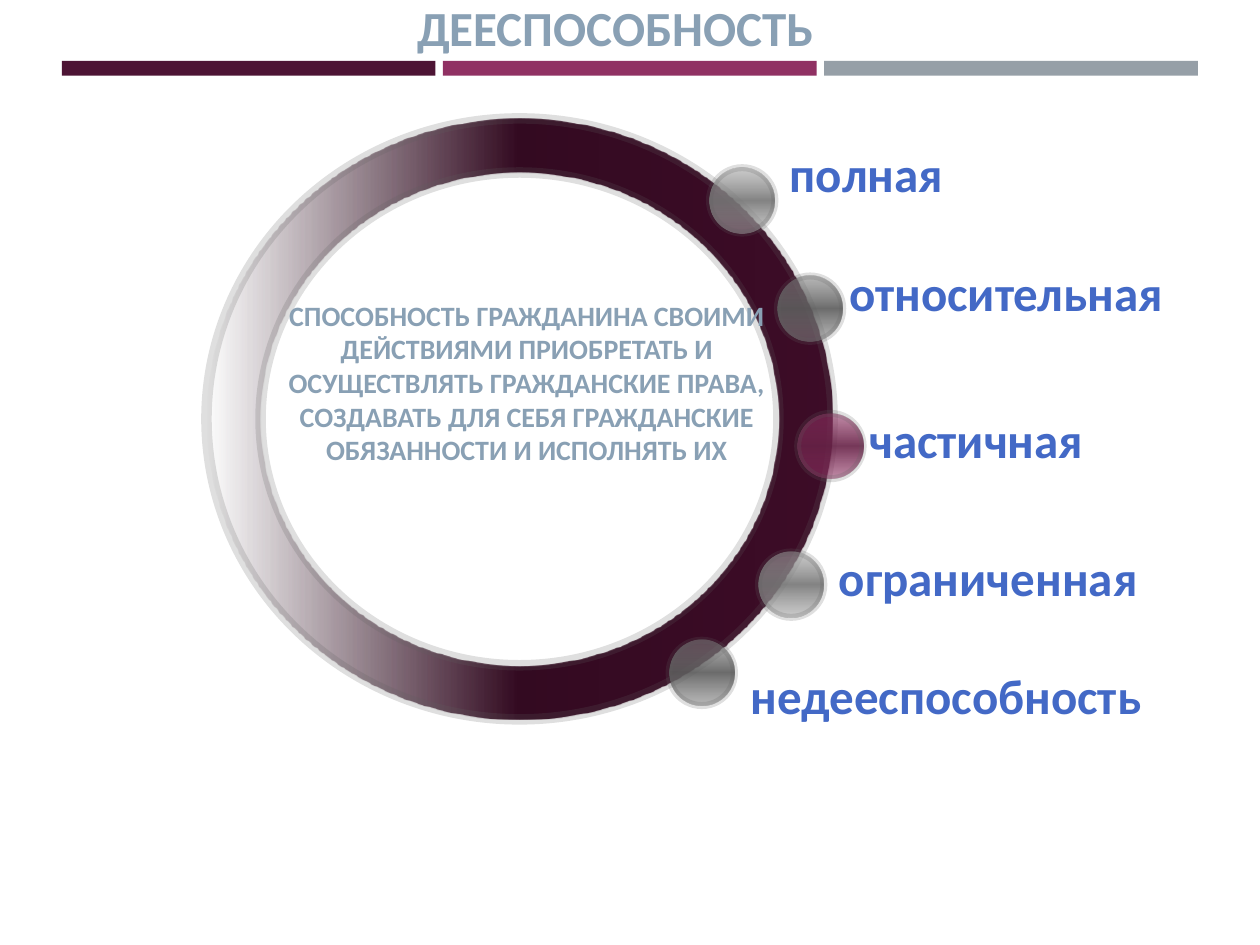
from lxml import etree
from pptx import Presentation
from pptx.dml.color import RGBColor
from pptx.enum.shapes import MSO_SHAPE as Shape
from pptx.enum.text import MSO_ANCHOR as Anchor, MSO_AUTO_SIZE as AutoSize, PP_ALIGN as Align
from pptx.oxml.ns import qn
from pptx.util import Pt

FONT = "Calibri"
PLUM = RGBColor(0x4D, 0x14, 0x34)
MAGENTA = RGBColor(0x90, 0x31, 0x63)
DARK_MAGENTA = RGBColor(0x67, 0x23, 0x47)
STEEL = RGBColor(0x96, 0x9F, 0xA7)
HEADING = RGBColor(0x89, 0xA0, 0xB4)
BLUE = RGBColor(0x43, 0x69, 0xC6)
OUTLINE = RGBColor(0x5F, 0x5F, 0x5F)
LIGHT_GRAY = RGBColor(0xA5, 0xA5, 0xA5)
MID_GRAY = RGBColor(0x76, 0x76, 0x76)
GRAY = RGBColor(0x82, 0x82, 0x82)
DARK_GRAY = RGBColor(0x5D, 0x5D, 0x5D)
RING_START = RGBColor(0x24, 0x07, 0x17)
RING_MIDDLE = RGBColor(0x33, 0x0A, 0x21)
RING_END = RGBColor(0x3D, 0x0C, 0x27)

PALE = (LIGHT_GRAY, MID_GRAY)
DEEP = (GRAY, DARK_GRAY)
ACCENT = (MAGENTA, DARK_MAGENTA)
DOT_SIZE = 37.4

# label, dot left and top, label left and top, dot colours
KINDS = [
    ("полная", (405.4, 95.8), (444.2, 78.5), PALE),
    ("относительная", (444.2, 157.7), (478.1, 146.2), DEEP),
    ("частичная", (455.8, 236.2), (489.6, 230.4), ACCENT),
    ("ограниченная", (433.4, 315.4), (472.3, 309.6), PALE),
    ("недееспособность", (382.3, 365.8), (421.9, 376.6), DEEP),
]
DEFINITION = (
    "СПОСОБНОСТЬ ГРАЖДАНИНА СВОИМИ ДЕЙСТВИЯМИ ПРИОБРЕТАТЬ И "
    "ОСУЩЕСТВЛЯТЬ ГРАЖДАНСКИЕ ПРАВА, СОЗДАВАТЬ ДЛЯ СЕБЯ ГРАЖДАНСКИЕ "
    "ОБЯЗАННОСТИ И ИСПОЛНЯТЬ ИХ"
)


def set_alpha(color_element, percent):
    etree.SubElement(color_element, qn("a:alpha"), val=str(percent * 1000))


def set_gradient(shape, stops, angle):
    """Fill with stops of (position %, colour, opacity %), angle clockwise."""
    shape.fill.gradient()
    gradient = shape.fill._xPr.find(qn("a:gradFill"))
    stop_list = gradient.find(qn("a:gsLst"))
    for stop in list(stop_list):
        stop_list.remove(stop)
    for position, color, opacity in stops:
        stop = etree.SubElement(stop_list, qn("a:gs"), pos=str(position * 1000))
        set_alpha(etree.SubElement(stop, qn("a:srgbClr"), val=str(color)), opacity)
    gradient.find(qn("a:lin")).set("ang", str(angle * 60000))


def add_plain_shape(slide, kind, left, top, width, height):
    shape = slide.shapes.add_shape(kind, Pt(left), Pt(top), Pt(width), Pt(height))
    shape.shadow.inherit = False
    return shape


def add_bar(slide, left, color):
    bar = add_plain_shape(slide, Shape.RECTANGLE, left, 34.8, 213.6, 8.5)
    bar.fill.solid()
    bar.fill.fore_color.rgb = color
    bar.line.fill.background()


def set_soft_outline(shape, width):
    shape.line.width = Pt(width)
    shape.line.color.rgb = OUTLINE
    set_alpha(shape.line._ln.find(".//" + qn("a:srgbClr")), 20)


def add_ring(slide):
    ring = add_plain_shape(slide, Shape.DONUT, 118, 67.7, 357.8, 343.4)
    ring.adjustments[0] = 0.09
    stops = [(0, RING_START, 0), (50, RING_MIDDLE, 100), (100, RING_END, 100)]
    set_gradient(ring, stops, 0)
    set_soft_outline(ring, 6)


def add_dot(slide, position, colors):
    dot = add_plain_shape(slide, Shape.OVAL, *position, DOT_SIZE, DOT_SIZE)
    edge, middle = colors
    set_gradient(dot, [(0, edge, 55), (50, middle, 90), (100, edge, 55)], 90)
    set_soft_outline(dot, 4)


def write_text(shape, text, size, color, align):
    frame = shape.text_frame
    frame.word_wrap = True
    frame.auto_size = AutoSize.NONE
    frame.vertical_anchor = Anchor.TOP
    paragraph = frame.paragraphs[0]
    paragraph.alignment = align
    run = paragraph.add_run()
    run.text = text
    run.font.name = FONT
    run.font.size = Pt(size)
    run.font.bold = True
    run.font.color.rgb = color


def add_text(slide, text, position, dimensions, size, color, align=Align.LEFT):
    box = slide.shapes.add_textbox(*map(Pt, position), *map(Pt, dimensions))
    write_text(box, text, size, color, align)


def set_title(slide, text):
    title = slide.shapes.title
    title.left, title.top, title.width, title.height = map(Pt, (64.8, -5, 573.8, 41))
    write_text(title, text, 28, HEADING, Align.CENTER)


def main():
    presentation = Presentation()
    presentation.slide_width, presentation.slide_height = Pt(720), Pt(540)
    slide = presentation.slides.add_slide(presentation.slide_layouts[5])

    for index, color in enumerate((PLUM, MAGENTA, STEEL)):
        add_bar(slide, 35.3 + index * 217.8, color)
    set_title(slide, "ДЕЕСПОСОБНОСТЬ")
    add_ring(slide)
    add_text(slide, DEFINITION, (152, 167), (298, 144), 16, HEADING, Align.CENTER)
    for label, dot_position, label_position, colors in KINDS:
        add_dot(slide, dot_position, colors)
        label_width = 710 - label_position[0]
        add_text(slide, label, label_position, (label_width, 41), 28, BLUE)

    presentation.save("out.pptx")


if __name__ == "__main__":
    main()
